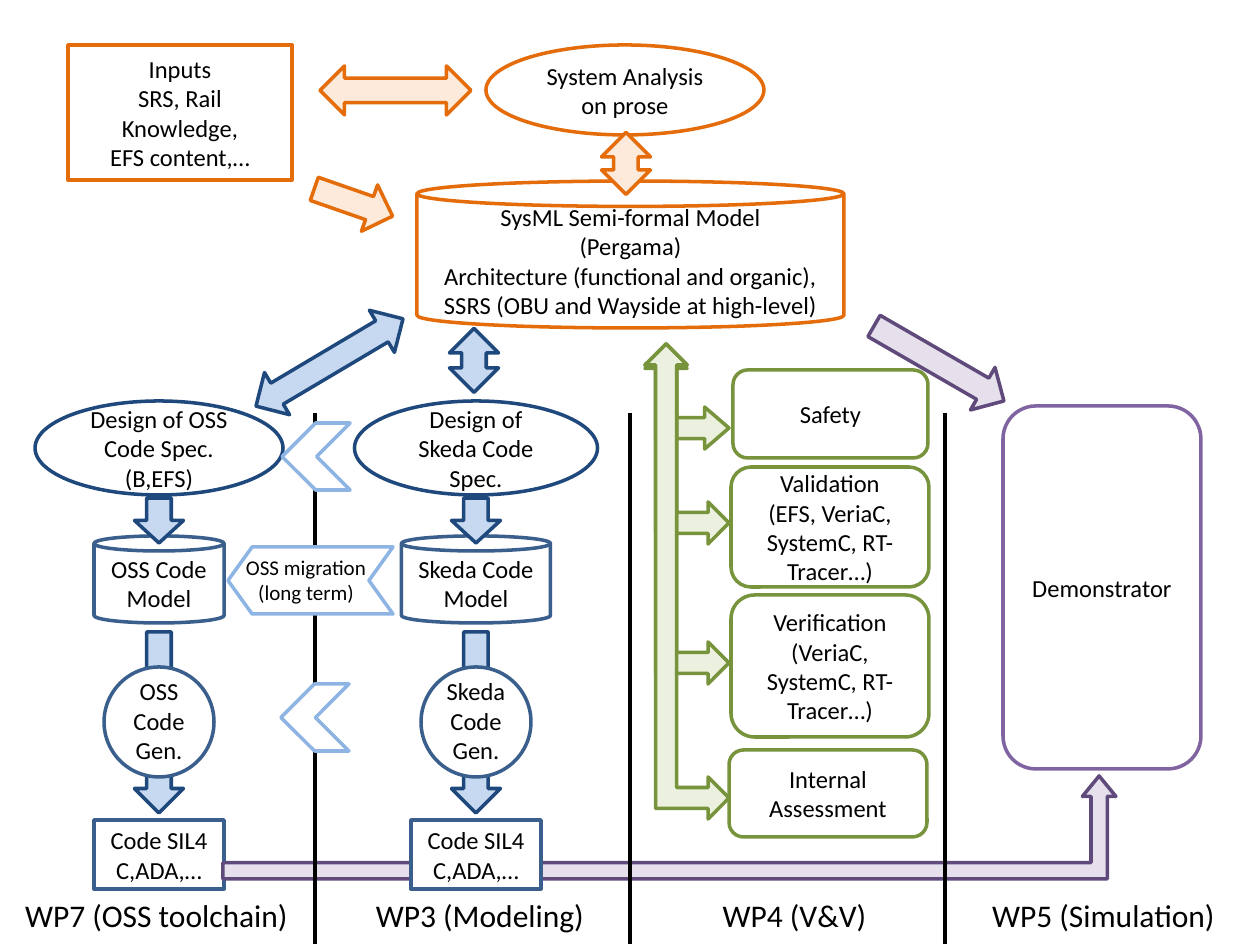
from dataclasses import dataclass

from lxml import etree
from pptx import Presentation
from pptx.dml.color import RGBColor
from pptx.enum.shapes import MSO_CONNECTOR, MSO_SHAPE
from pptx.enum.text import MSO_ANCHOR, MSO_AUTO_SIZE, PP_ALIGN
from pptx.oxml.ns import qn
from pptx.util import Emu, Pt

CAN, ELLIPSE, RECT = MSO_SHAPE.CAN, MSO_SHAPE.OVAL, MSO_SHAPE.RECTANGLE
ROUNDED, CHEVRON = MSO_SHAPE.ROUNDED_RECTANGLE, MSO_SHAPE.CHEVRON
BOTH_WAYS, ONE_WAY = MSO_SHAPE.LEFT_RIGHT_ARROW, MSO_SHAPE.RIGHT_ARROW
LEFT_UP, BENT_UP = MSO_SHAPE.LEFT_UP_ARROW, MSO_SHAPE.BENT_UP_ARROW
STRAIGHT = MSO_CONNECTOR.STRAIGHT
MIDDLE, TOP = MSO_ANCHOR.MIDDLE, MSO_ANCHOR.TOP
CENTER = PP_ALIGN.CENTER
FIT_TEXT = MSO_AUTO_SIZE.SHAPE_TO_FIT_TEXT
EMU_PER_PIXEL = 914400 / 126


@dataclass(frozen=True)
class Theme:
    """Colours, font and type sizes of the slide."""
    font: str = "Calibri"
    body: int = 14
    label: int = 18
    note: int = 12
    outline: float = 2
    divider: float = 2.25
    black: str = "000000"
    white: str = "FFFFFF"
    orange: str = "E46C0A"
    pale_orange: str = "FDEADA"
    navy: str = "1F497D"
    steel: str = "3A5F8C"
    pale_blue: str = "C6D9F1"
    sky: str = "8EB4E3"
    green: str = "77933C"
    pale_green: str = "EBF1DE"
    violet: str = "8064A2"
    plum: str = "604A7B"
    pale_violet: str = "E6E0EC"


THEME = Theme()


def px(value):
    """Turn pixels into EMU."""
    return Emu(round(value * EMU_PER_PIXEL))


def color(code):
    """Turn a hex code into a colour."""
    return RGBColor.from_string(code)


def write(frame, text, size, anchor):
    """Put centred text in a text frame."""
    frame.text = text
    frame.vertical_anchor = anchor
    for para in frame.paragraphs:
        para.alignment = CENTER
        for span in para.runs:
            span.font.name = THEME.font
            span.font.size = Pt(size)
            span.font.color.rgb = color(THEME.black)


def add_block(page, kind, place, line, fill=THEME.white, text="", turn=0, adjust=()):
    """Add an outlined preset shape with optional text."""
    block = page.shapes.add_shape(kind, *map(px, place))
    block.shadow.inherit = False
    block.rotation = turn
    for index, value in enumerate(adjust):
        block.adjustments[index] = value
    if fill:
        block.fill.solid()
        block.fill.fore_color.rgb = color(fill)
    else:
        block.fill.background()
    block.line.color.rgb = color(line)
    block.line.width = Pt(THEME.outline)
    if text:
        block.text_frame.word_wrap = True
        write(block.text_frame, text, THEME.body, MIDDLE)
    return block


def add_text(page, place, text, size, wrap=False):
    """Add a plain text box."""
    box = page.shapes.add_textbox(*map(px, place))
    box.text_frame.word_wrap = wrap
    box.text_frame.auto_size = FIT_TEXT
    write(box.text_frame, text, size, TOP)


def add_divider(page, x):
    """Add a vertical line between work packages."""
    divider = page.shapes.add_connector(STRAIGHT, px(x), px(413), px(x), px(944))
    divider.line.color.rgb = color(THEME.black)
    divider.line.width = Pt(THEME.divider)
    etree.SubElement(divider._element.spPr, qn("a:effectLst"))


def add_system_level(page):
    """Draw the model, the analysis and the arrows around them."""
    add_block(page, CAN, (417, 181, 427, 147), THEME.orange, adjust=[0.173],
              text="SysML Semi-formal Model\n(Pergama)\nArchitecture (functional and organic), "
                   "SSRS (OBU and Wayside at high-level)")
    add_block(page, ELLIPSE, (486, 45, 278, 90), THEME.orange, text="System Analysis on prose")
    add_block(page, RECT, (68, 45, 224, 135), THEME.orange, None,
              "Inputs\nSRS, Rail Knowledge,\nEFS content,…")
    warm, cool = (THEME.orange, THEME.pale_orange), (THEME.navy, THEME.pale_blue)
    for kind, place, colors, turn in (
        (BOTH_WAYS, (320, 66, 151, 49), warm, 0),
        (BOTH_WAYS, (595, 139, 62, 49), warm, 90),
        (ONE_WAY, (312, 178, 83, 49), warm, 19.2),
        (BOTH_WAYS, (244, 338, 171, 49), cool, 149.3),
        (BOTH_WAYS, (442, 336, 64, 49), cool, 90),
        (ONE_WAY, (864, 339, 150, 49), (THEME.plum, THEME.pale_violet), 30),
    ):
        add_block(page, kind, place, *colors, turn=turn)


def add_checks(page):
    """Draw the verification boxes and the arrows that branch to them."""
    for place, text in (
        ((733, 370, 195, 88), "Safety"),
        ((731, 467, 198, 120), "Validation\n(EFS, VeriaC, SystemC, RT-Tracer…)"),
        ((731, 595, 198, 142), "Verification\n(VeriaC, SystemC, RT-Tracer…)"),
        ((729, 750, 198, 87), "Internal\vAssessment"),
    ):
        add_block(page, ROUNDED, place, THEME.green, text=text)
    left, top, width = 645, 344, 84
    for reach, head in ((105, 0.291), (200, 0.25), (340, 0.25), (475, 0.25)):
        place = (left + (width - reach) / 2, top + (reach - width) / 2, reach, width)
        add_block(page, LEFT_UP, place, THEME.green, THEME.pale_green, turn=90,
                  adjust=[0.25, 0.25, head])


def add_toolchain(page, center, name, design, design_width, model_width, code_fill):
    """Draw one column from design to generated code."""
    def around(top, width, height):
        return center - width / 2, top, width, height

    add_block(page, CAN, around(536, model_width, 87), THEME.steel,
              text=f"{name} Code\nModel", adjust=[0.173])
    add_block(page, ELLIPSE, around(401, design_width, 94), THEME.navy, text=design)
    add_block(page, ONE_WAY, around(698, 181, 49), THEME.navy, THEME.pale_blue, turn=90)
    add_block(page, ELLIPSE, around(667, 110, 110), THEME.steel)
    add_text(page, around(670, 110, 102), f"{name}\nCode\nGen.", THEME.body, True)
    add_block(page, RECT, around(820, 130, 69), THEME.steel, code_fill, "Code SIL4\nC,ADA,…")
    add_block(page, ONE_WAY, around(496, 45, 49), THEME.navy, THEME.pale_blue, turn=90)


def add_migration(page):
    """Draw the chevrons that point to the open toolchain."""
    for place, adjust in (
        ((282, 423, 68, 67), []),
        ((281, 684, 68, 67), []),
        ((228, 547, 165, 67), [0.359]),
    ):
        add_block(page, CHEVRON, place, THEME.sky, turn=180, adjust=adjust)
    add_text(page, (233, 548, 146, 63), "OSS migration\n(long term)", THEME.note)


def main():
    """Build and save the slide."""
    deck = Presentation()
    deck.slide_width, deck.slide_height = px(1260), px(945)
    page = deck.slides.add_slide(deck.slide_layouts[6])
    add_system_level(page)
    for left, width, text in (
        (11, 291, "WP7 (OSS toolchain)"),
        (362, 236, "WP3 (Modeling)"),
        (709, 171, "WP4 (V&V)"),
        (978, 251, "WP5 (Simulation)"),
    ):
        add_text(page, (left, 890, width, 50), text, THEME.label)
    add_checks(page)
    add_block(page, ROUNDED, (1003, 406, 198, 363), THEME.violet, text="Demonstrator")
    add_toolchain(page, 159, "OSS", "Design of OSS Code Spec. (B,EFS)", 248, 130, None)
    add_block(page, BENT_UP, (223, 776, 893, 103), THEME.plum, THEME.pale_violet,
              adjust=[0.158, 0.163, 0.199])
    add_toolchain(page, 476, "Skeda", "Design of Skeda Code Spec.", 243, 149, THEME.white)
    for x in (315, 630, 945):
        add_divider(page, x)
    add_migration(page)
    deck.save("out.pptx")


main()
